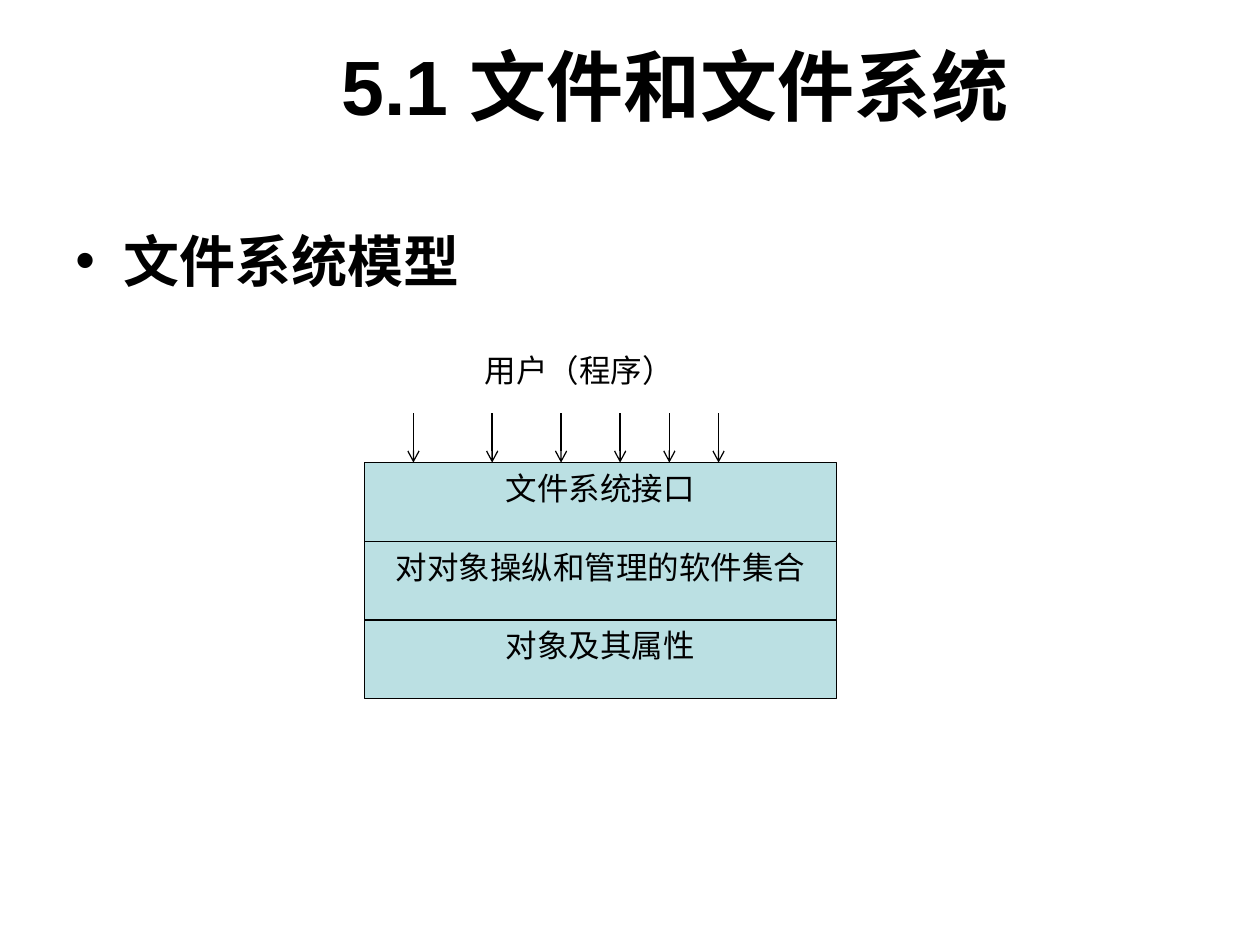
from lxml.etree import SubElement
from pptx import Presentation
from pptx.dml.color import RGBColor
from pptx.enum.shapes import MSO_CONNECTOR, MSO_SHAPE
from pptx.enum.text import MSO_ANCHOR, PP_ALIGN
from pptx.oxml.ns import qn
from pptx.util import Inches, Pt

BLACK = RGBColor(0x00, 0x00, 0x00)
WHITE = RGBColor(0xFF, 0xFF, 0xFF)
PALE_TEAL = RGBColor(0xBB, 0xE0, 0xE3)

COLUMNS = 128
LAYERS = ["文件系统接口", "对对象操纵和管理的软件集合", "对象及其属性"]
LAYER_LEFT, LAYER_TOP, LAYER_WIDTH, LAYER_HEIGHT = 37, 47, 48, 8
ARROW_COLUMNS = [42, 50, 57, 63, 68, 73]
ARROW_TOP = 42


def grid(*cells):
    """Turn grid columns or rows into lengths, 128 columns to the slide's width."""
    return [int(Inches(10) * cell / COLUMNS) for cell in cells]


def write(s, text, size=18, bold=False, align=PP_ALIGN.CENTER,
          anchor=MSO_ANCHOR.TOP, wrap=False):
    """Put one formatted paragraph in a shape and return it."""
    tf = s.text_frame
    tf.word_wrap = wrap
    tf.vertical_anchor = anchor
    p = tf.paragraphs[0]
    p.alignment = align
    r = p.add_run()
    r.text = text
    r.font.name = "Arial"
    r.font.size = Pt(size)
    r.font.bold = bold
    r.font.color.rgb = BLACK
    return p


def add_text(slide, box, text, **style):
    """Add a wrapping text box and return its paragraph."""
    return write(slide.shapes.add_textbox(*grid(*box)), text, wrap=True, **style)


def add_bullet(p):
    """Give a paragraph a round bullet with a hanging indent."""
    pPr = p._p.get_or_add_pPr()
    pPr.set("marL", str(Inches(0.38)))
    pPr.set("indent", str(-Inches(0.38)))
    SubElement(pPr, qn("a:buFont"), typeface="Arial")
    SubElement(pPr, qn("a:buChar"), char="•")


def add_box(slide, box, text, fill, line, width=0.75, **style):
    """Add a filled and outlined rectangle with text."""
    s = slide.shapes.add_shape(MSO_SHAPE.RECTANGLE, *grid(*box))
    s.shadow.inherit = False
    s.fill.solid()
    s.fill.fore_color.rgb = fill
    s.line.color.rgb = line
    s.line.width = Pt(width)
    write(s, text, **style)


def add_down_arrow(slide, column, top, bottom):
    """Add a thin vertical line with an open arrowhead at its foot."""
    s = slide.shapes.add_connector(MSO_CONNECTOR.STRAIGHT,
                                   *grid(column, top, column, bottom))
    s.line.color.rgb = BLACK
    s.line.width = Pt(0.75)
    SubElement(s.line._get_or_add_ln(), qn("a:tailEnd"), type="arrow")
    SubElement(s._element.spPr, qn("a:effectLst"))


def main():
    """Build the file system model slide."""
    prs = Presentation()
    prs.slide_width, prs.slide_height = Inches(10), Inches(7.5)
    slide = prs.slides.add_slide(prs.slide_layouts[6])

    add_text(slide, (15.6, 0.6, 106, 16), "5.1 文件和文件系统",
             size=44, bold=True, anchor=MSO_ANCHOR.MIDDLE)
    p = add_text(slide, (6.4, 22.4, 115.2, 63.4), "文件系统模型",
                 size=32, bold=True, align=PP_ALIGN.LEFT)
    p.space_before = Pt(6.4)
    add_bullet(p)

    for i, layer in enumerate(LAYERS):
        top = LAYER_TOP + i * LAYER_HEIGHT
        add_box(slide, (LAYER_LEFT, top, LAYER_WIDTH, LAYER_HEIGHT),
                layer, PALE_TEAL, BLACK)
    add_box(slide, (48, 35, 22, 5.1), "用户（程序）", WHITE, WHITE,
            width=2, align=PP_ALIGN.LEFT)
    for column in ARROW_COLUMNS:
        add_down_arrow(slide, column, ARROW_TOP, LAYER_TOP)

    prs.save("out.pptx")


if __name__ == "__main__":
    main()
